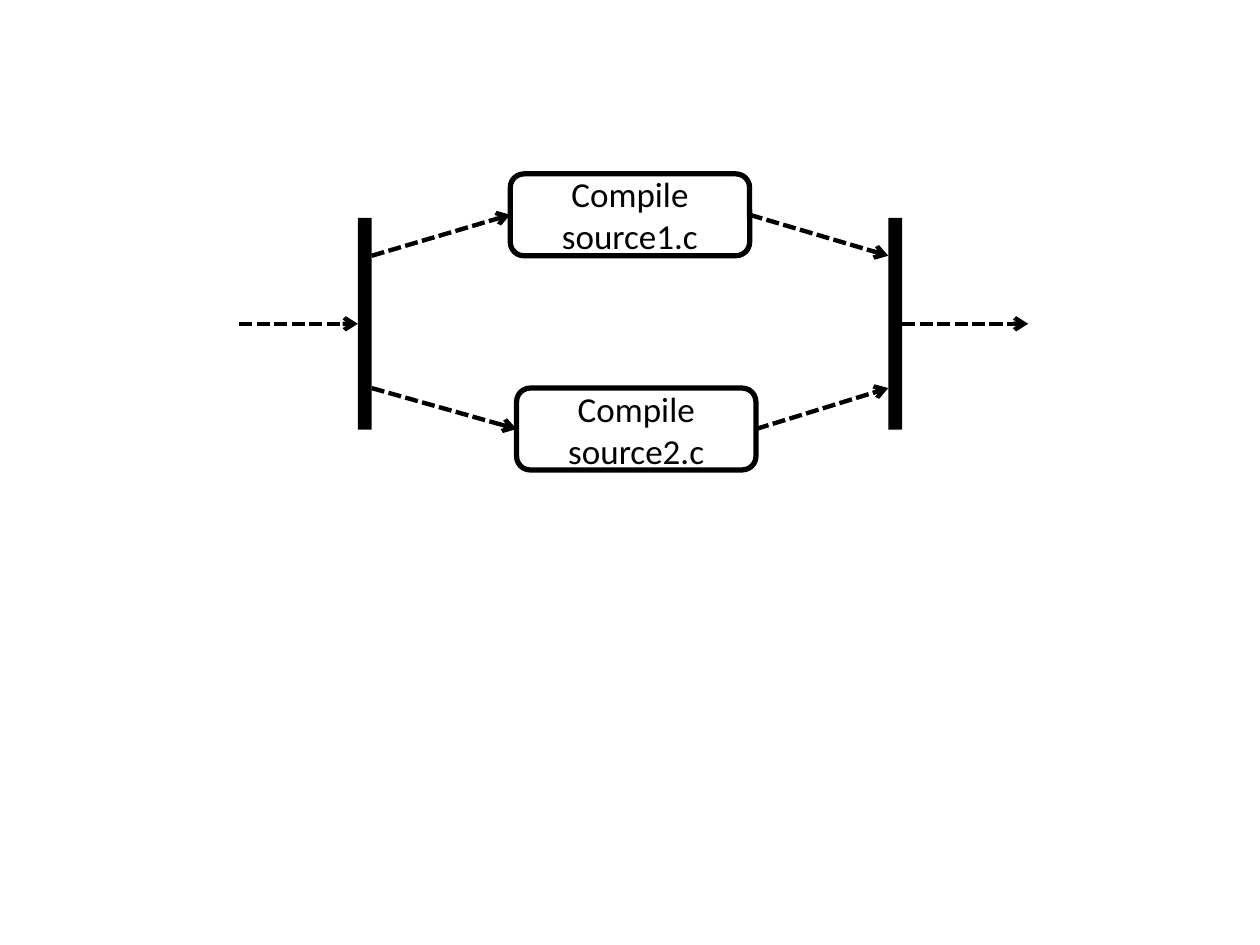
from dataclasses import dataclass

import pptx
import pptx.dml.color
import pptx.enum.dml
import pptx.enum.shapes
import pptx.enum.text
import pptx.oxml
import pptx.oxml.ns
import pptx.slide
import pptx.util
from pptx.util import Inches

BLACK = pptx.dml.color.RGBColor(0x00, 0x00, 0x00)
SHAPES = pptx.enum.shapes.MSO_SHAPE

BAR_TOP, BAR_WIDTH, BAR_HEIGHT = 1.73, 0.11, 1.68
FORK_LEFT, JOIN_LEFT = 2.84, 7.05
FORK_RIGHT, JOIN_RIGHT = FORK_LEFT + BAR_WIDTH, JOIN_LEFT + BAR_WIDTH
BAR_MIDDLE = BAR_TOP + BAR_HEIGHT / 2
FLOW_START, FLOW_END = 1.9, 8.16
TASK_WIDTH, TASK_HEIGHT = 1.9, 0.65

LABEL_FORMAT = {"name": "Calibri", "size": pptx.util.Pt(20)}
ARROW_FORMAT = {
    "width": pptx.util.Pt(2.5),
    "dash_style": pptx.enum.dml.MSO_LINE.SQUARE_DOT,
}


@dataclass(frozen=True)
class Task:
    """A parallel step and the height where its arrows meet the bars."""

    label: str
    left: float
    top: float
    bar_y: float


TASKS = [
    Task("Compile\vsource1.c", 4.05, 1.38, 2.03),
    Task("Compile\vsource2.c", 4.1, 3.08, 3.08),
]


def apply_format(target: object, values: dict) -> None:
    """Set each named attribute of the target."""
    for name, value in values.items():
        setattr(target, name, value)


def add_bar(page: pptx.slide.Slide, left: float) -> None:
    """Draw a solid synchronisation bar."""
    bar = page.shapes.add_shape(
        SHAPES.RECTANGLE, Inches(left), Inches(BAR_TOP), Inches(BAR_WIDTH), Inches(BAR_HEIGHT)
    )
    bar.shadow.inherit = False
    bar.fill.solid()
    bar.fill.fore_color.rgb = BLACK
    bar.line.fill.background()


def add_arrow(page: pptx.slide.Slide, x1: float, y1: float, x2: float, y2: float) -> None:
    """Draw a dashed arrow from the first point to the second."""
    arrow = page.shapes.add_connector(
        pptx.enum.shapes.MSO_CONNECTOR.STRAIGHT, Inches(x1), Inches(y1), Inches(x2), Inches(y2)
    )
    arrow.line.color.rgb = BLACK
    apply_format(arrow.line, ARROW_FORMAT)
    head = pptx.oxml.parse_xml(f'<a:tailEnd {pptx.oxml.ns.nsdecls("a")} type="arrow"/>')
    arrow.line.fill  # the outline element exists before the head is added
    properties = arrow.element.spPr
    properties.find(pptx.oxml.ns.qn("a:ln")).append(head)
    properties.append(pptx.oxml.parse_xml(f'<a:effectLst {pptx.oxml.ns.nsdecls("a")}/>'))


def add_task(page: pptx.slide.Slide, task: Task) -> None:
    """Draw a rounded task box with its incoming and outgoing arrows."""
    box = page.shapes.add_shape(
        SHAPES.ROUNDED_RECTANGLE,
        Inches(task.left), Inches(task.top), Inches(TASK_WIDTH), Inches(TASK_HEIGHT),
    )
    box.shadow.inherit = False
    box.fill.background()
    box.line.color.rgb = BLACK
    box.line.width = pptx.util.Pt(3)
    frame = box.text_frame
    frame.word_wrap = True
    frame.vertical_anchor = pptx.enum.text.MSO_ANCHOR.MIDDLE
    para = frame.paragraphs[0]
    para.text = task.label
    para.alignment = pptx.enum.text.PP_ALIGN.CENTER
    for span in para.runs:
        apply_format(span.font, LABEL_FORMAT)
        span.font.color.rgb = BLACK

    middle = task.top + TASK_HEIGHT / 2
    add_arrow(page, FORK_RIGHT, task.bar_y, task.left, middle)
    add_arrow(page, task.left + TASK_WIDTH, middle, JOIN_LEFT, task.bar_y)


def main() -> None:
    """Build the fork and join diagram."""
    deck = pptx.Presentation()
    deck.slide_width, deck.slide_height = Inches(10), Inches(7.5)
    page = deck.slides.add_slide(deck.slide_layouts[6])
    for left in (FORK_LEFT, JOIN_LEFT):
        add_bar(page, left)
    for start, end in ((FLOW_START, FORK_LEFT), (JOIN_RIGHT, FLOW_END)):
        add_arrow(page, start, BAR_MIDDLE, end, BAR_MIDDLE)
    for task in TASKS:
        add_task(page, task)
    deck.save("out.pptx")


main()
